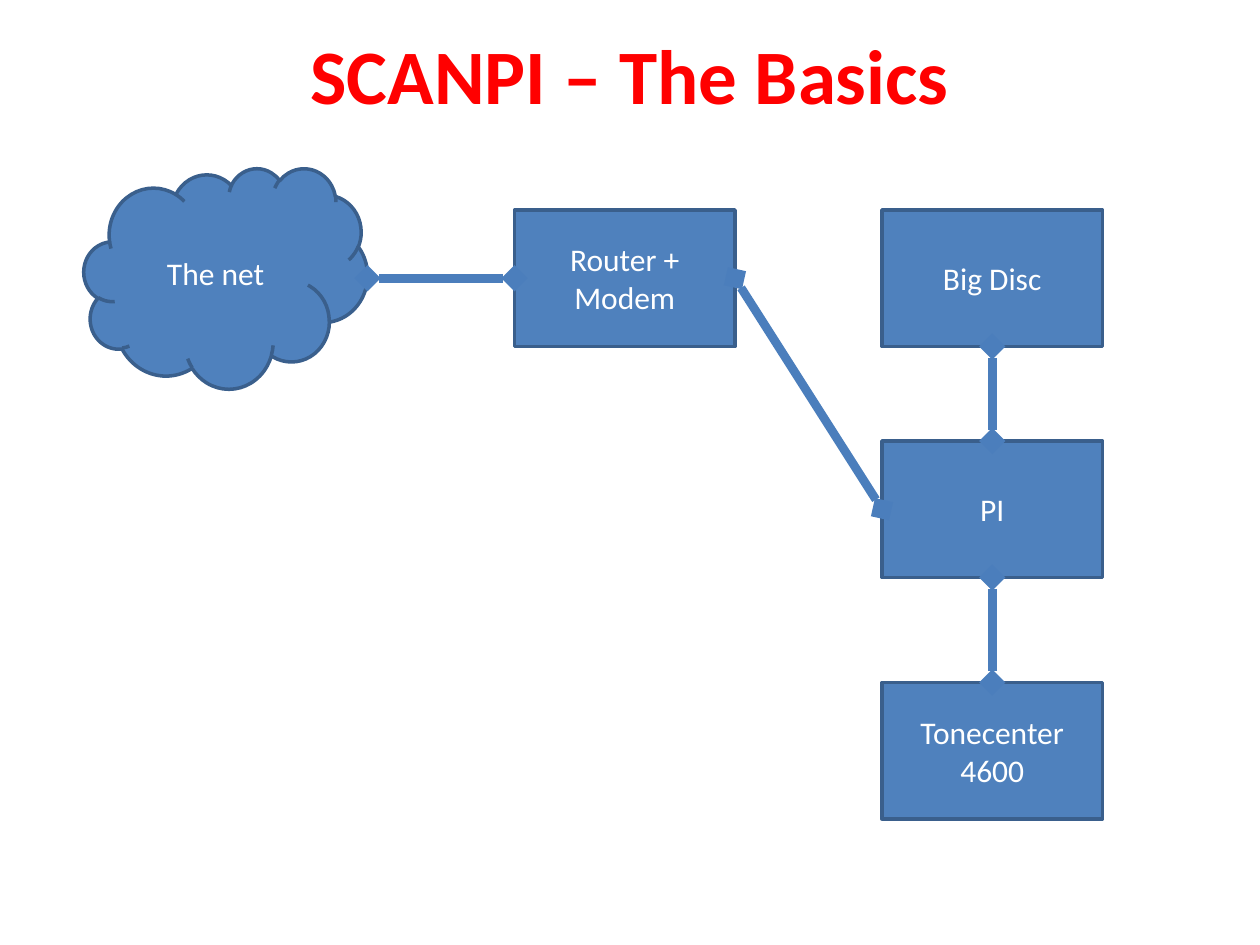
from dataclasses import dataclass

from lxml import etree
from pptx import Presentation
from pptx import util as u
from pptx.dml.color import RGBColor
from pptx.enum import shapes, text
from pptx.oxml import ns

PX = 7620  # EMU; 120 px to the inch
FONT = "Calibri"
NODE_FILL, NODE_LINE, LINK_LINE = "4F81BD", "3A5F8C", "4B7EBC"
TOP, LEFT, BOTTOM, RIGHT = range(4)  # connection sites of a rectangle


@dataclass
class Node:
    name: str
    label: str
    left: int
    top: int
    width: int = 210
    height: int = 130
    kind: shapes.MSO_SHAPE = shapes.MSO_SHAPE.RECTANGLE


@dataclass
class Link:
    start: str
    start_side: int
    end: str
    end_side: int


NODES = [
    Node("net", "The net", 80, 160, 270, 210, shapes.MSO_SHAPE.CLOUD),
    Node("router", "Router + Modem", 490, 200),
    Node("disc", "Big Disc", 840, 200),
    Node("pi", "PI", 840, 420),
    Node("player", "Tonecenter\n4600", 840, 650),
]
LINKS = [
    Link("net", RIGHT, "router", LEFT),
    Link("router", RIGHT, "pi", LEFT),
    Link("disc", BOTTOM, "pi", TOP),
    Link("pi", BOTTOM, "player", TOP),
]


def px(length: int) -> u.Emu:
    return u.Emu(length * PX)


def rgb(value: str) -> RGBColor:
    return RGBColor.from_string(value)


def set_text(shape, words: str, size: int, color: str, bold: bool = False) -> None:
    frame = shape.text_frame
    frame.text = words
    frame.word_wrap = True
    frame.auto_size = text.MSO_AUTO_SIZE.NONE
    frame.vertical_anchor = text.MSO_ANCHOR.MIDDLE
    for para in frame.paragraphs:
        para.alignment = text.PP_ALIGN.CENTER
        para.font.name = FONT
        para.font.size = u.Pt(size)
        para.font.bold = bold
        para.font.color.rgb = rgb(color)


def add_title(page, words: str) -> None:
    title = page.shapes.title
    title.left, title.top, title.width, title.height = map(px, (90, 20, 1020, 100))
    set_text(title, words, 44, "FF0000", bold=True)


def add_node(page, node: Node):
    box = page.shapes.add_shape(
        node.kind, px(node.left), px(node.top), px(node.width), px(node.height))
    box.shadow.inherit = False
    box.fill.solid()
    box.fill.fore_color.rgb = rgb(NODE_FILL)
    box.line.color.rgb = rgb(NODE_LINE)
    box.line.width = u.Pt(2)
    set_text(box, node.label, 18, "FFFFFF")
    return box


def add_link(page, link: Link, boxes: dict) -> None:
    """Join two nodes with a diamond-ended line; the cloud's edge is only touched."""
    start, end = boxes[link.start], boxes[link.end]
    line = page.shapes.add_connector(
        shapes.MSO_CONNECTOR.STRAIGHT, start.left + start.width, px(265), 0, 0)
    if start.auto_shape_type == shapes.MSO_SHAPE.RECTANGLE:
        line.begin_connect(start, link.start_side)
    line.end_connect(end, link.end_side)
    line.line.color.rgb = rgb(LINK_LINE)
    line.line.width = u.Pt(5)
    properties = line._element.spPr
    outline = properties.find(ns.qn("a:ln"))
    for tag in ("a:headEnd", "a:tailEnd"):
        etree.SubElement(outline, ns.qn(tag), type="diamond")
    etree.SubElement(properties, ns.qn("a:effectLst"))


def main() -> None:
    deck = Presentation()
    deck.slide_width, deck.slide_height = px(1200), px(900)
    page = deck.slides.add_slide(deck.slide_layouts.get_by_name("Title Only"))
    add_title(page, "SCANPI – The Basics")
    boxes = {node.name: add_node(page, node) for node in NODES}
    for link in LINKS:
        add_link(page, link, boxes)
    deck.save("out.pptx")


if __name__ == "__main__":
    main()
